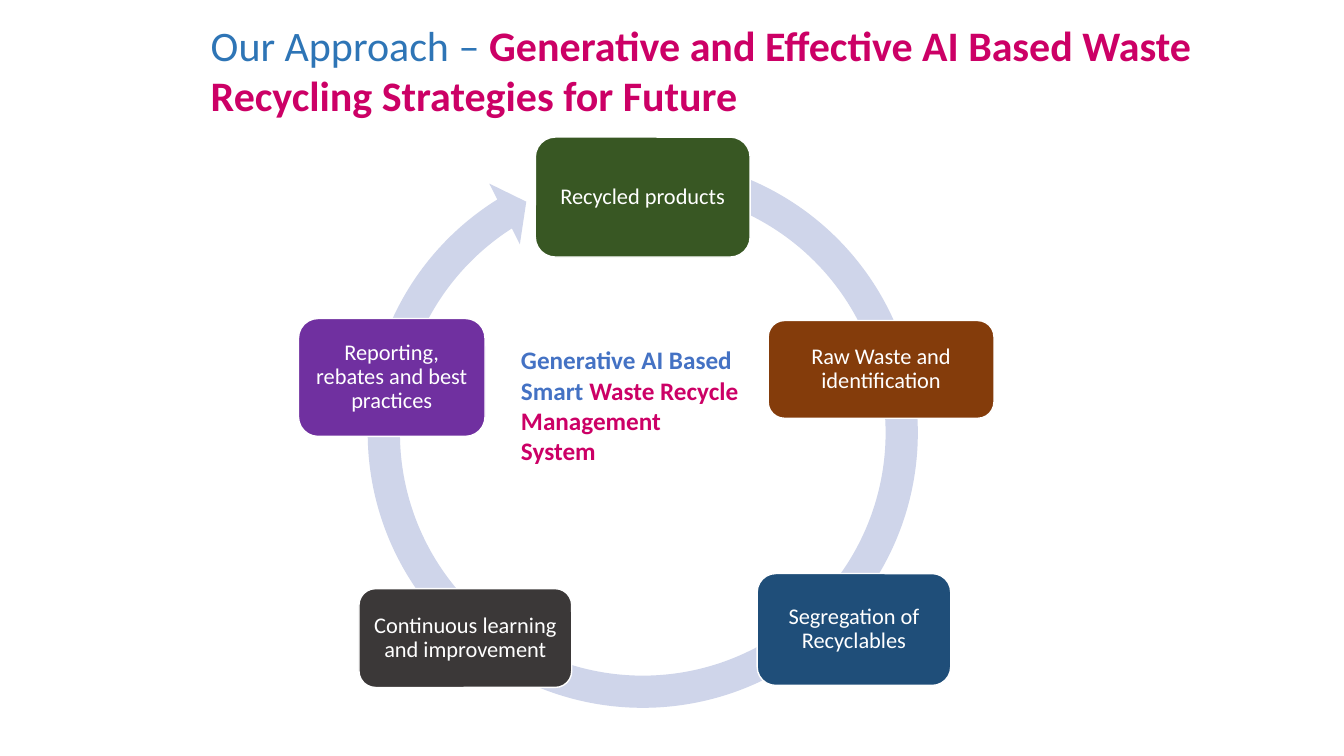
from pptx import Presentation
from pptx.dml.color import RGBColor
from pptx.enum.shapes import MSO_SHAPE
from pptx.enum.text import MSO_ANCHOR, MSO_AUTO_SIZE, PP_ALIGN
from pptx.util import Inches, Pt

WHITE = RGBColor(0xFF, 0xFF, 0xFF)
SKY = RGBColor(0x2E, 0x75, 0xB6)
BLUE = RGBColor(0x44, 0x72, 0xC4)
PINK = RGBColor(0xCC, 0x00, 0x66)
PALE = RGBColor(0xCF, 0xD5, 0xEA)
GREEN = RGBColor(0x38, 0x57, 0x23)
BROWN = RGBColor(0x84, 0x3C, 0x0B)
NAVY = RGBColor(0x1F, 0x4E, 0x79)
GREY = RGBColor(0x3B, 0x38, 0x38)
PURPLE = RGBColor(0x70, 0x30, 0xA0)

deck = Presentation()
deck.slide_width = Inches(13.33)
deck.slide_height = Inches(7.5)
slide = deck.slides.add_slide(deck.slide_layouts[5])
shapes = slide.shapes


def share(left, top, width, height):
    wide, high = deck.slide_width / 100, deck.slide_height / 100
    return int(left * wide), int(top * high), int(width * wide), int(height * high)


def write(par, text, size, color, bold=False):
    run = par.add_run()
    run.text = text
    run.font.name = "Calibri"
    run.font.size = Pt(size)
    run.font.bold = bold
    run.font.color.rgb = color


title = shapes.title
title.left, title.top, title.width, title.height = share(14.93, 1.87, 75.84, 14.8)
frame = title.text_frame
frame.word_wrap = True
frame.auto_size = MSO_AUTO_SIZE.NONE
frame.vertical_anchor = MSO_ANCHOR.TOP
par = frame.paragraphs[0]
par.alignment = PP_ALIGN.LEFT
write(par, "Our Approach – ", 30, SKY)
write(par, "Generative and Effective AI Based Waste Recycling Strategies for Future", 30, PINK, True)

ring = shapes.add_shape(MSO_SHAPE.CIRCULAR_ARROW, *share(26.03, 18.53, 43.59, 77.47))
ring.shadow.inherit = False
ring.fill.solid()
ring.fill.fore_color.rgb = PALE
ring.line.fill.background()
for spot, value in enumerate((0.055, 3.31, 142.65, 170.95, 0.058)):
    ring.adjustments[spot] = value

steps = [
    ("Recycled products", GREEN, (39.83, 18.13, 15.98, 15.87)),
    ("Raw Waste and identification", BROWN, (57.16, 42.4, 16.8, 12.93)),
    ("Segregation of Recyclables", NAVY, (56.34, 75.87, 14.4, 14.8)),
    ("Continuous learning and improvement", GREY, (26.71, 77.87, 15.83, 13.07)),
    ("Reporting, rebates and best practices", PURPLE, (22.21, 42.13, 13.88, 15.6)),
]
for text, color, area in steps:
    step = shapes.add_shape(MSO_SHAPE.ROUNDED_RECTANGLE, *share(*area))
    step.shadow.inherit = False
    step.fill.solid()
    step.fill.fore_color.rgb = color
    step.line.color.rgb = WHITE
    step.line.width = Pt(1)
    frame = step.text_frame
    frame.word_wrap = True
    frame.vertical_anchor = MSO_ANCHOR.MIDDLE
    frame.margin_left = frame.margin_right = Inches(0.07)
    frame.margin_top = frame.margin_bottom = Inches(0.07)
    par = frame.paragraphs[0]
    par.alignment = PP_ALIGN.CENTER
    par.line_spacing = 0.9
    par.space_after = Pt(5.6)
    write(par, text, 16, WHITE)

core = shapes.add_textbox(*share(38.03, 44.93, 17.78, 17.47))
frame = core.text_frame
frame.word_wrap = True
par = frame.paragraphs[0]
write(par, "Generative AI Based Smart ", 18, BLUE, True)
write(par, "Waste Recycle Management System", 18, PINK, True)

deck.save("out.pptx")
